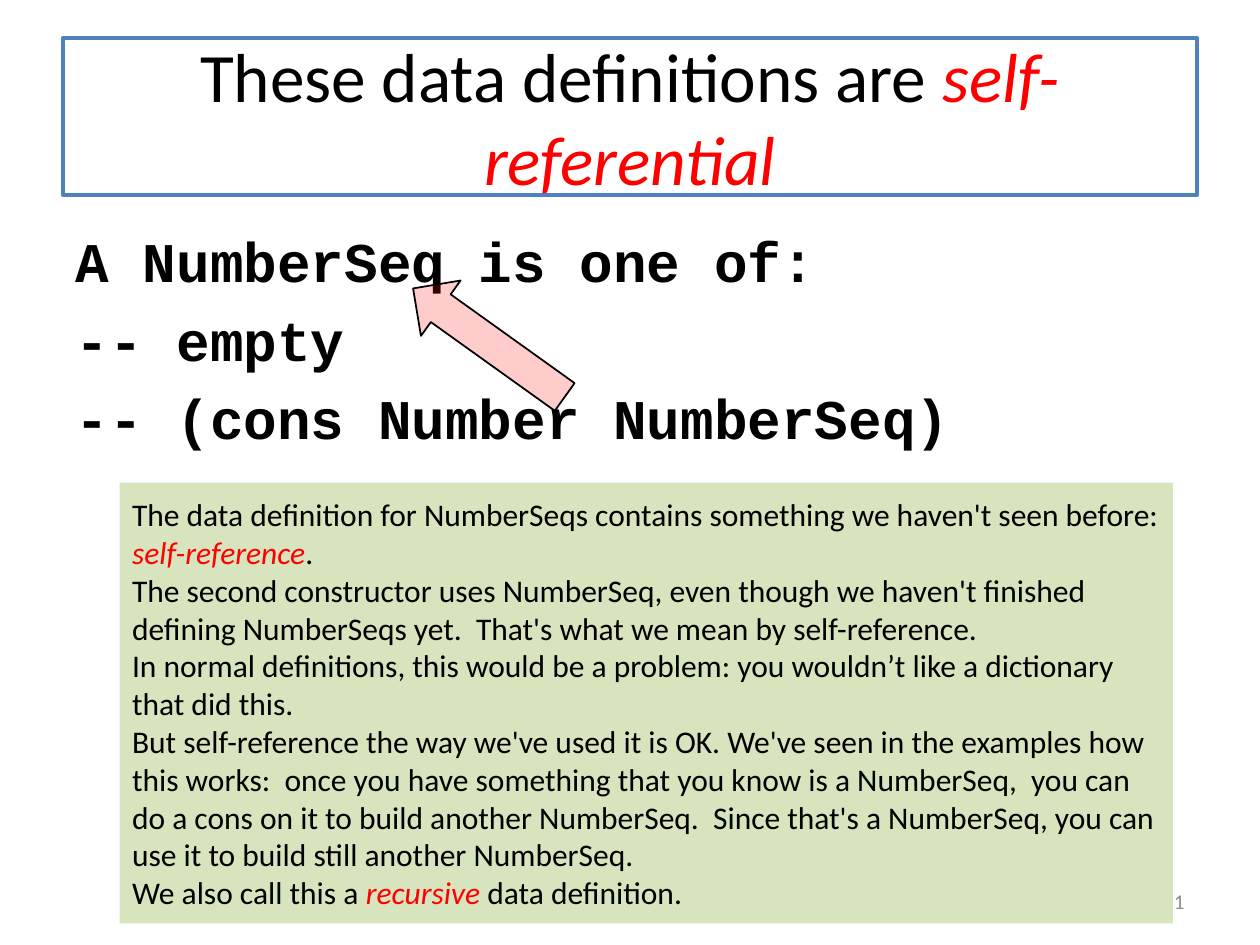
from lxml import etree
from pptx import Presentation
from pptx.dml.color import RGBColor
from pptx.enum.shapes import MSO_SHAPE
from pptx.enum.text import MSO_ANCHOR, MSO_AUTO_SIZE, PP_ALIGN
from pptx.oxml.ns import qn
from pptx.util import Inches, Pt

RECTANGLE = MSO_SHAPE.RECTANGLE
DOWN_ARROW = MSO_SHAPE.DOWN_ARROW
MIDDLE = MSO_ANCHOR.MIDDLE
NO_AUTOFIT = MSO_AUTO_SIZE.NONE
LEFT, CENTER, RIGHT = PP_ALIGN.LEFT, PP_ALIGN.CENTER, PP_ALIGN.RIGHT

BLACK, RED = "000000", "FF0000"


def color(value):
    return RGBColor.from_string(value)


def write(paragraph, runs, alignment, font_format):
    """Add runs to a paragraph; text marked True is red and italic."""
    paragraph.alignment = alignment
    for text, emphasized in runs:
        run = paragraph.add_run()
        run.text = text
        for name, value in font_format.items():
            setattr(run.font, name, value)
        run.font.color.rgb = color(RED if emphasized else BLACK)
        if emphasized:
            run.font.italic = True


presentation = Presentation()
presentation.slide_width = Inches(10)
presentation.slide_height = Inches(7.5)
slide = presentation.slides.add_slide(presentation.slide_layouts[1])
shapes = slide.shapes

# Title
title = shapes.title
title.left, title.top = Inches(0.5), Inches(0.3)
title.width, title.height = Inches(9), Inches(1.25)
title.fill.solid()
title.fill.fore_color.rgb = color("FFFFFF")
title.line.color.rgb = color("4F81BD")
title.line.width = Pt(2.25)
title.text_frame.auto_size = NO_AUTOFIT
title.text_frame.vertical_anchor = MIDDLE
title_runs = [("These data definitions are ", False), ("self-referential", True)]
write(title.text_frame.paragraphs[0], title_runs, CENTER,
      {"name": "Calibri", "size": Pt(39.6)})

# Data definition
body = slide.placeholders[1]
body.left, body.top = Inches(0.5), Inches(1.75)
body.width, body.height = Inches(9), Inches(4.95)
body.text_frame.auto_size = NO_AUTOFIT
definition_lines = [
    "A NumberSeq is one of:",
    "-- empty",
    "-- (cons Number NumberSeq)",
]
for index, line in enumerate(definition_lines):
    frame = body.text_frame
    paragraph = frame.add_paragraph() if index else frame.paragraphs[0]
    properties = paragraph._p.get_or_add_pPr()
    etree.SubElement(properties, qn("a:buNone"))
    write(paragraph, [(line, False)], LEFT,
          {"name": "Courier New", "size": Pt(32), "bold": True})

# Slide number
number = shapes.add_textbox(Inches(7.17), Inches(6.95), Inches(2.33), Inches(0.4))
number.text_frame.word_wrap = True
number.text_frame.vertical_anchor = MIDDLE
number_paragraph = number.text_frame.paragraphs[0]
write(number_paragraph, [("11", False)], RIGHT, {"name": "Calibri", "size": Pt(12)})
number_paragraph.runs[0].font.color.rgb = color("8C8C8C")

# Explanation
explanation = shapes.add_shape(
    RECTANGLE, Inches(0.95), Inches(3.83), Inches(8.36), Inches(3.5))
explanation.shadow.inherit = False
explanation.fill.solid()
explanation.fill.fore_color.rgb = color("D7E4BD")
explanation.line.fill.background()
explanation.text_frame.word_wrap = True
explanation.text_frame.vertical_anchor = MIDDLE
explanation_paragraphs = [
    [("The data definition for NumberSeqs contains something we haven't seen "
      "before: ", False), ("self-reference", True), (".", False)],
    [("The second constructor uses NumberSeq, even though we haven't finished "
      "defining NumberSeqs yet.  That's what we mean by self-reference.", False)],
    [("In normal definitions, this would be a problem: you wouldn’t like a "
      "dictionary that did this.", False)],
    [("But self-reference the way we've used it is OK. We've seen in the examples "
      "how this works:  once you have something that you know is a NumberSeq,  "
      "you can do a cons on it to build another NumberSeq.  Since that's a "
      "NumberSeq, you can use it to build still another NumberSeq.", False)],
    [("We also call this a ", False), ("recursive ", True),
     ("data definition.", False)],
]
for index, runs in enumerate(explanation_paragraphs):
    frame = explanation.text_frame
    paragraph = frame.add_paragraph() if index else frame.paragraphs[0]
    write(paragraph, runs, LEFT, {"name": "Calibri", "size": Pt(18)})

# Arrow from the self-reference to the name being defined
arrow = shapes.add_shape(
    DOWN_ARROW, Inches(3.61), Inches(1.98), Inches(0.54), Inches(1.48))
arrow.rotation = 125.6
arrow.shadow.inherit = False
arrow.fill.solid()
arrow.fill.fore_color.rgb = color(RED)
fill_color = arrow._element.spPr.find(qn("a:solidFill")).find(qn("a:srgbClr"))
etree.SubElement(fill_color, qn("a:alpha"), val="20000")
arrow.line.color.rgb = color(BLACK)
arrow.line.width = Pt(1)

presentation.save("out.pptx")
